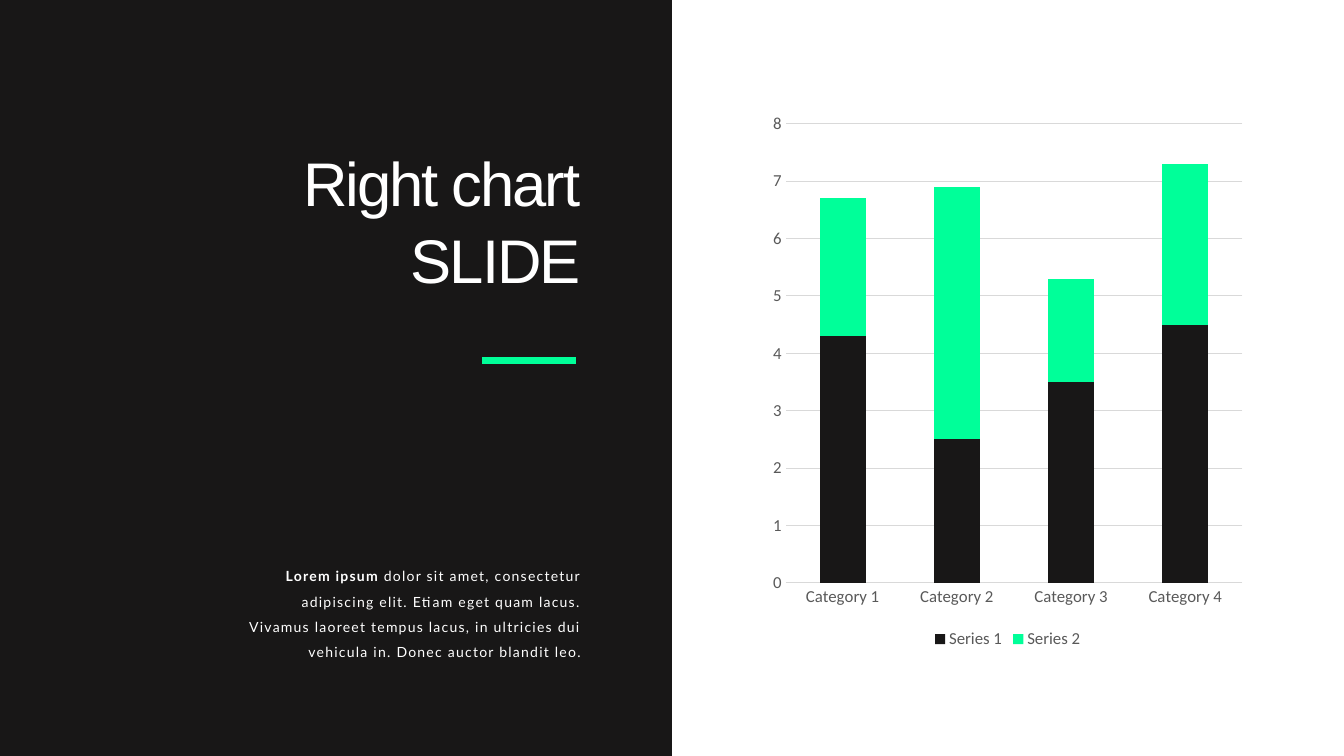
from dataclasses import dataclass

from lxml import etree
from pptx import Presentation
from pptx.chart.data import CategoryChartData
from pptx.dml.color import RGBColor
from pptx.enum.chart import XL_CHART_TYPE, XL_LEGEND_POSITION, XL_TICK_MARK
from pptx.enum.shapes import MSO_CONNECTOR, MSO_SHAPE
from pptx.enum.text import MSO_ANCHOR, MSO_AUTO_SIZE, PP_ALIGN
from pptx.oxml.ns import qn
from pptx.util import Inches, Pt

STACKED = XL_CHART_TYPE.COLUMN_STACKED
BOTTOM = XL_LEGEND_POSITION.BOTTOM
NO_TICK = XL_TICK_MARK.NONE
STRAIGHT = MSO_CONNECTOR.STRAIGHT
RECTANGLE = MSO_SHAPE.RECTANGLE
MIDDLE, TOP = MSO_ANCHOR.MIDDLE, MSO_ANCHOR.TOP
NO_FIT = MSO_AUTO_SIZE.NONE
RIGHT = PP_ALIGN.RIGHT

WIDTH, HEIGHT = 13.33, 7.5
TITLE_ONLY = 5


@dataclass(frozen=True)
class Theme:
    dark: RGBColor = RGBColor.from_string("181717")
    accent: RGBColor = RGBColor.from_string("00FF99")
    white: RGBColor = RGBColor.from_string("FFFFFF")
    label: RGBColor = RGBColor.from_string("595959")
    grid: RGBColor = RGBColor.from_string("D9D9D9")
    title_font: str = "Arial"
    body_font: str = "Lato"
    chart_font: str = "Calibri"
    title_size: float = 44
    body_size: float = 10
    chart_size: float = 12
    title_tracking: float = -1.5
    body_tracking: float = 0.9
    rule_weight: float = 5
    grid_weight: float = 0.75


class SlideBuilder:
    """Places themed elements on a slide by shares of its width and height."""

    def __init__(self, presentation, theme):
        self.theme = theme
        self.slide = presentation.slides.add_slide(presentation.slide_layouts[TITLE_ONLY])
        self.shapes = self.slide.shapes

    def box(self, left, top, width, height):
        return (Inches(left * WIDTH), Inches(top * HEIGHT),
                Inches(width * WIDTH), Inches(height * HEIGHT))

    def panel(self, *shares):
        panel = self.shapes.add_shape(RECTANGLE, *self.box(*shares))
        panel.shadow.inherit = False
        panel.fill.solid()
        panel.fill.fore_color.rgb = self.theme.dark
        panel.line.fill.background()

    def format_text(self, frame, font_name, size, tracking, line_spacing):
        for paragraph in frame.paragraphs:
            paragraph.alignment = RIGHT
            paragraph.line_spacing = line_spacing
            for run in paragraph.runs:
                run.font.name = font_name
                run.font.size = Pt(size)
                run.font.color.rgb = self.theme.white
                run._r.get_or_add_rPr().set("spc", str(round(tracking * 100)))

    def title(self, text, *shares):
        title = self.shapes.title
        title.left, title.top, title.width, title.height = self.box(*shares)
        title.element.getparent().append(title.element)
        frame = title.text_frame
        frame.text = text
        frame.auto_size = NO_FIT
        frame.vertical_anchor = MIDDLE
        self.format_text(frame, self.theme.title_font, self.theme.title_size,
                         self.theme.title_tracking, 1.05)

    def body(self, lead, text, *shares):
        frame = self.shapes.add_textbox(*self.box(*shares)).text_frame
        frame.word_wrap = True
        frame.vertical_anchor = TOP
        paragraph = frame.paragraphs[0]
        paragraph.text = lead
        paragraph.runs[0].font.bold = True
        paragraph.add_run().text = text
        self.format_text(frame, self.theme.body_font, self.theme.body_size,
                         self.theme.body_tracking, 1.5)

    def rule(self, left, top, width):
        x, y, length, _ = self.box(left, top, width, 0)
        rule = self.shapes.add_connector(STRAIGHT, x, y, x + length, y)
        rule.line.color.rgb = self.theme.accent
        rule.line.width = Pt(self.theme.rule_weight)
        etree.SubElement(rule.element.spPr, qn("a:effectLst"))

    def format_font(self, font):
        font.name = self.theme.chart_font
        font.size = Pt(self.theme.chart_size)
        font.color.rgb = self.theme.label

    def format_grid_line(self, line):
        line.color.rgb = self.theme.grid
        line.width = Pt(self.theme.grid_weight)

    def chart(self, categories, series, *shares):
        data = CategoryChartData()
        data.categories = categories
        for name, values in series.items():
            data.add_series(name, values)
        chart = self.shapes.add_chart(STACKED, *self.box(*shares), data).chart
        self.format_font(chart.font)
        chart.has_title = False
        chart.has_legend = True
        chart.legend.position = BOTTOM
        chart.legend.include_in_layout = False
        self.format_font(chart.legend.font)
        for axis in (chart.category_axis, chart.value_axis):
            axis.major_tick_mark = axis.minor_tick_mark = NO_TICK
            self.format_font(axis.tick_labels.font)
        self.format_grid_line(chart.category_axis.format.line)
        chart.value_axis.format.line.fill.background()
        self.format_grid_line(chart.value_axis.major_gridlines.format.line)
        plot = chart.plots[0]
        plot.gap_width, plot.overlap = 150, 100
        plot.vary_by_categories = False
        for column, color in zip(plot.series, (self.theme.dark, self.theme.accent)):
            column.format.fill.solid()
            column.format.fill.fore_color.rgb = color


def main():
    presentation = Presentation()
    presentation.slide_width = Inches(WIDTH)
    presentation.slide_height = Inches(HEIGHT)
    builder = SlideBuilder(presentation, Theme())
    builder.panel(0, 0, 0.5, 1)
    builder.body(
        "Lorem ipsum ",
        "dolor sit amet, consectetur adipiscing elit. Etiam eget quam lacus. "
        "Vivamus laoreet tempus lacus, in ultricies dui vehicula in. "
        "Donec auctor blandit leo.",
        2.32 / WIDTH, 5.5 / HEIGHT, 3.54 / WIDTH, 1.08 / HEIGHT)
    builder.title("Right chart\nSLIDE",
                  1.88 / WIDTH, 1.38 / HEIGHT, 3.98 / WIDTH, 1.58 / HEIGHT)
    builder.rule(4.78 / WIDTH, 3.58 / HEIGHT, 0.93 / WIDTH)
    builder.chart(
        [f"Category {number}" for number in range(1, 5)],
        {"Series 1": (4.3, 2.5, 3.5, 4.5), "Series 2": (2.4, 4.4, 1.8, 2.8)},
        7.57 / WIDTH, 1.02 / HEIGHT, 4.85 / WIDTH, 5.46 / HEIGHT)
    presentation.save("out.pptx")


if __name__ == "__main__":
    main()
